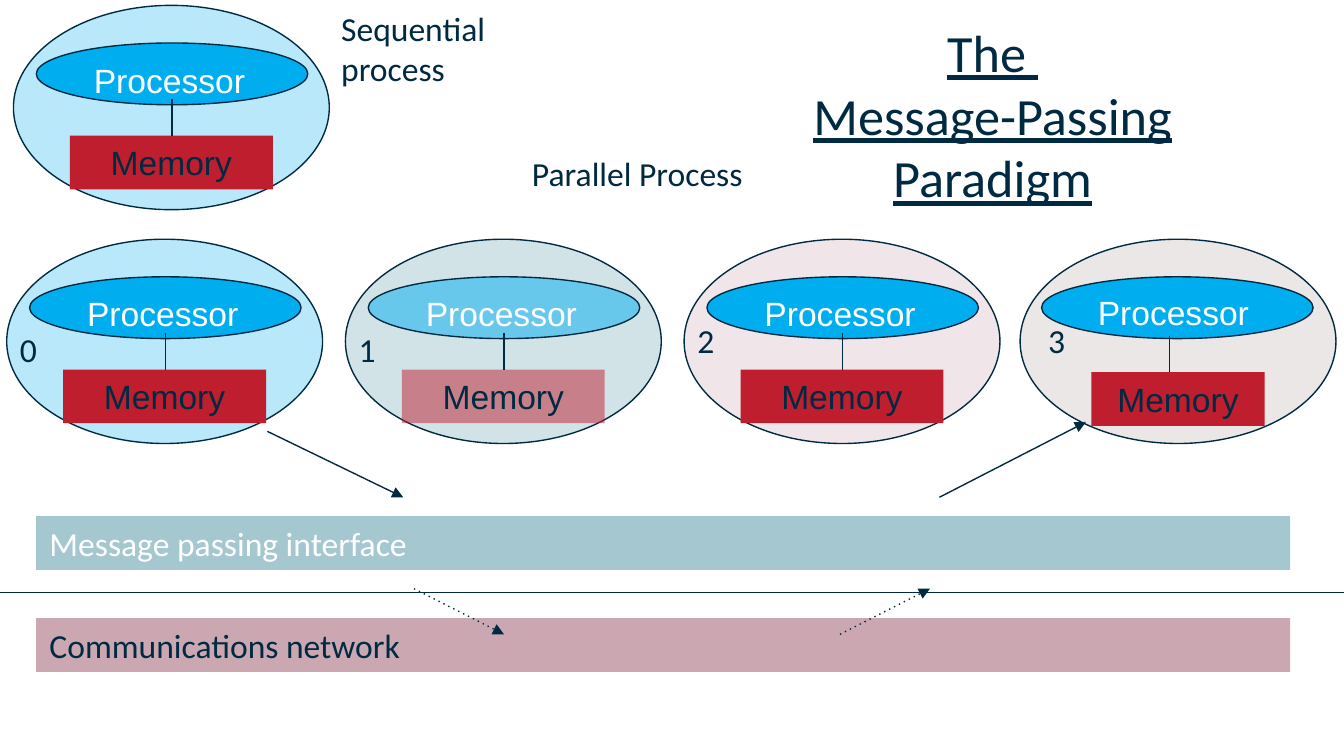
from lxml.etree import SubElement
from pptx import Presentation
from pptx.dml.color import RGBColor
from pptx.enum.shapes import MSO_CONNECTOR, MSO_SHAPE
from pptx.enum.text import MSO_ANCHOR, PP_ALIGN
from pptx.oxml.ns import qn
from pptx.util import Inches, Pt

NAVY = RGBColor(0x00, 0x2A, 0x41)
BLUE = RGBColor(0x00, 0xAE, 0xEF)
RED = RGBColor(0xBE, 0x1E, 0x2D)
TEAL = RGBColor(0xA5, 0xC8, 0xD0)
ROSE = RGBColor(0xCB, 0xA8, 0xB1)
TAUPE = RGBColor(0xB6, 0xAA, 0xA7)
WHITE = RGBColor(0xFF, 0xFF, 0xFF)


def write_text(shape, text, color, font="Calibri", size=18, align=PP_ALIGN.LEFT, underline=None):
    frame = shape.text_frame
    frame.word_wrap = True
    frame.vertical_anchor = MSO_ANCHOR.TOP
    paragraph = frame.paragraphs[0]
    paragraph.text = text
    paragraph.alignment = align
    for span in paragraph.runs:
        span.font.name = font
        span.font.size = Pt(size)
        span.font.color.rgb = color
        span.font.underline = underline


def add_label(parent, bounds, text, color=NAVY, **style):
    box = parent.shapes.add_textbox(*map(Inches, bounds))
    write_text(box, text, color, **style)


def add_filled(parent, kind, bounds, color, opacity=100, outlined=False):
    shape = parent.shapes.add_shape(kind, *map(Inches, bounds))
    shape.shadow.inherit = False
    shape.fill.solid()
    shape.fill.fore_color.rgb = color
    if opacity < 100:
        fill = shape.fill._xPr.find(qn("a:solidFill"))
        SubElement(fill[0], qn("a:alpha")).set("val", str(opacity * 1000))
    if outlined:
        shape.line.color.rgb = NAVY
        shape.line.width = Pt(0.75)
    else:
        shape.line.fill.background()
    return shape


def add_line(parent, start, end, arrow=False, dash=None):
    points = map(Inches, (*start, *end))
    line = parent.shapes.add_connector(MSO_CONNECTOR.STRAIGHT, *points)
    line.line.color.rgb = NAVY
    line.line.width = Pt(0.75)
    outline = line.line._get_or_add_ln()
    if dash:
        SubElement(outline, qn("a:prstDash")).set("val", dash)
    if arrow:
        SubElement(outline, qn("a:tailEnd")).set("type", "triangle")
    SubElement(line._element.spPr, qn("a:effectLst"))


def add_process(page, left, top, color, opacity=28, part_opacity=100, processor_x=0.17,
                label_at=(0.5, 0.35), memory_at=(0.42, 0.97), memory_width=1.51,
                link_at=(1.18, 0.7)):
    group = page.shapes.add_group_shape()
    add_filled(group, MSO_SHAPE.OVAL, (left, top, 2.35, 1.52), color, opacity, True)
    add_filled(group, MSO_SHAPE.OVAL, (left + processor_x, top + 0.28, 2.02, 0.46),
               BLUE, part_opacity, True)
    add_label(group, (left + label_at[0], top + label_at[1], 1.34, 0.4),
              "Processor", WHITE, font="Arial")
    memory = add_filled(group, MSO_SHAPE.RECTANGLE,
                        (left + memory_at[0], top + memory_at[1], memory_width, 0.4),
                        RED, part_opacity)
    write_text(memory, "Memory", NAVY, font="Arial", align=PP_ALIGN.CENTER)
    link_x, link_y = left + link_at[0], top + link_at[1]
    add_line(group, (link_x, link_y), (link_x, link_y + 0.27))


def add_layer(page, top, color, text, text_color):
    bar = add_filled(page, MSO_SHAPE.RECTANGLE, (0.27, top, 9.33, 0.4), color)
    write_text(bar, text, text_color)


def add_parallel_processes(page):
    top, first, step = 1.78, 0.05, 2.52
    add_process(page, first, top, BLUE)
    add_process(page, first + step, top, TEAL, opacity=50, part_opacity=50)
    add_process(page, first + 2 * step, top, ROSE)
    add_process(page, 7.59, top, TAUPE, processor_x=0.16, label_at=(0.48, 0.34),
                memory_at=(0.53, 0.99), memory_width=1.29, link_at=(1.11, 0.72))


def add_ranks(page):
    ranks = [(0.05, 2.4), (2.57, 2.4), (5.09, 2.33), (7.7, 2.33)]
    for rank, (left, top) in enumerate(ranks):
        add_label(page, (left, top, 0.42, 0.4), str(rank))


def main():
    deck = Presentation()
    deck.slide_width = Inches(10)
    deck.slide_height = deck.slide_width * 9 // 16
    page = deck.slides.add_slide(deck.slide_layouts[6])

    add_process(page, 0.1, 0.04, BLUE, label_at=(0.5, 0.36))
    add_label(page, (2.44, 0.01, 1.61, 0.7), "Sequential \nprocess")

    add_line(page, (-0.07, 4.41), (10.01, 4.41))
    add_layer(page, 4.6, ROSE, "Communications network", NAVY)
    add_layer(page, 3.84, TEAL, "Message passing interface", WHITE)
    add_line(page, (1.99, 3.21), (3, 3.7), arrow=True)
    add_line(page, (6.99, 3.7), (8.08, 3.14), arrow=True)
    add_line(page, (3.08, 4.38), (3.75, 4.72), arrow=True, dash="dot")
    add_line(page, (6.25, 4.72), (6.92, 4.38), arrow=True, dash="dot")

    add_parallel_processes(page)
    add_label(page, (5.68, 0.1, 3.41, 1.5), "The \nMessage-Passing Paradigm",
              size=28, align=PP_ALIGN.CENTER, underline=True)
    add_ranks(page)
    add_label(page, (3.86, 1.09, 2.25, 0.4), "Parallel Process")
    deck.save("out.pptx")


if __name__ == "__main__":
    main()
